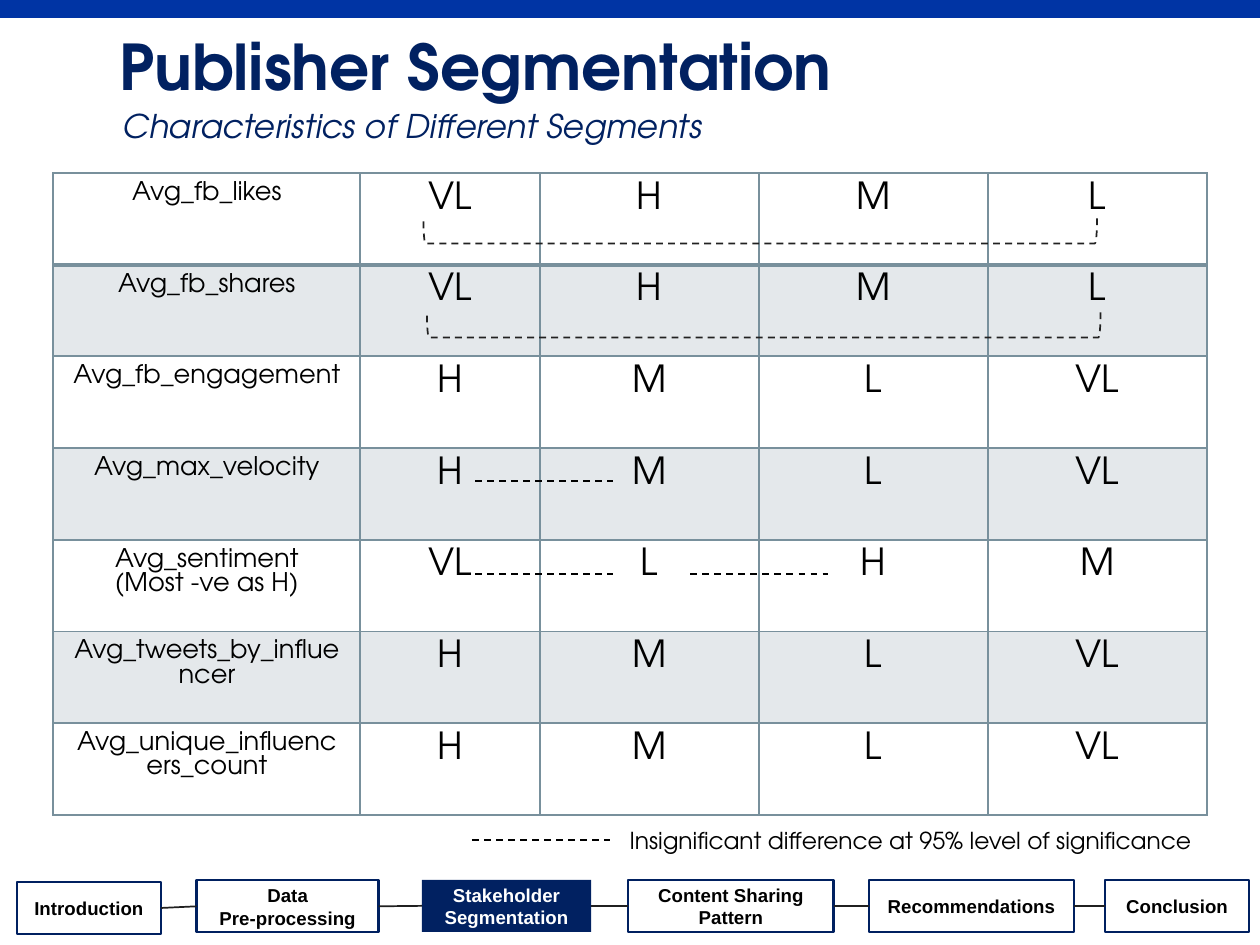
from typing import NamedTuple, Optional

from lxml.etree import SubElement
from pptx import Presentation
from pptx.dml.color import RGBColor
from pptx.enum.dml import MSO_LINE
from pptx.enum.shapes import MSO_CONNECTOR, MSO_SHAPE
from pptx.enum.text import MSO_ANCHOR, PP_ALIGN
from pptx.oxml.ns import qn
from pptx.util import Pt

COLORS = {
    "navy": "012161", "outline": "002060", "band": "0034A4", "grid": "78909C",
    "link": "202020", "bracket": "212121", "black": "000000", "white": "FFFFFF",
}
HEADING_FONT = "TeX Gyre Adventor"
STEP_FONT = "Arial"


class Box(NamedTuple):
    left: float
    top: float
    width: float
    height: float


class Style(NamedTuple):
    size: float
    color: str = "black"
    font: str = HEADING_FONT
    bold: bool = False
    italic: bool = False


class Step(NamedTuple):
    lines: tuple[str, ...]
    box: Box
    fill: Optional[str] = "white"
    outline: Optional[str] = "outline"
    ink: str = "black"


class Measure(NamedTuple):
    lines: tuple[str, ...]
    levels: str


class Dash(NamedTuple):
    left: float
    y: float


STEPS = [
    Step(("Introduction",), Box(7.2, 378, 61.9, 22.3), fill=None),
    Step(("Data", "Pre-processing"), Box(84.3, 377.3, 78, 22.3), fill=None),
    Step(("Stakeholder Segmentation",), Box(180.8, 377.1, 72.6, 22.3),
         fill="navy", outline=None, ink="white"),
    Step(("Content Sharing Pattern",), Box(269.3, 377.1, 88, 22.3)),
    Step(("Recommendations",), Box(372.4, 377.1, 88, 22.3)),
    Step(("Conclusion",), Box(473.6, 377.1, 61.7, 22.3)),
]
MEASURES = [
    Measure(("Avg_fb_likes",), "VL H M L"),
    Measure(("Avg_fb_shares",), "VL H M L"),
    Measure(("Avg_fb_engagement",), "H M L VL"),
    Measure(("Avg_max_velocity",), "H M L VL"),
    Measure(("Avg_sentiment", "(Most -ve as H)"), "VL L H M"),
    Measure(("Avg_tweets_by_influencer",), "H M L VL"),
    Measure(("Avg_unique_influencers_count",), "H M L VL"),
]
COLUMN_WIDTHS = [131.6, 77, 93.8, 98.1, 93.8]
ROW_HEIGHT = 39.3
BRACKETS = [Box(320.4, -45.4, 10.8, 288.7), Box(321.9, -5.1, 10.8, 288.7)]
DASHES = [Dash(203.6, 206.1), Dash(203.6, 246), Dash(295.8, 246), Dash(202.3, 360)]
DASH_LENGTH = 59.2


def rgb(name: str) -> RGBColor:
    return RGBColor.from_string(COLORS[name])


def emu(box: Box) -> list[Pt]:
    return [Pt(value) for value in box]


def write(frame, lines: tuple[str, ...], style: Style, align=PP_ALIGN.CENTER) -> None:
    for index, line in enumerate(lines):
        paragraph = frame.add_paragraph() if index else frame.paragraphs[0]
        paragraph.alignment = align
        run = paragraph.add_run()
        run.text = line
        run.font.name = style.font
        run.font.size = Pt(style.size)
        run.font.bold = style.bold
        run.font.italic = style.italic
        run.font.color.rgb = rgb(style.color)


def add_shape(slide, kind, box: Box, fill: Optional[str], outline: Optional[str], weight: float = 1):
    shape = slide.shapes.add_shape(kind, *emu(box))
    shape.shadow.inherit = False
    if fill:
        shape.fill.solid()
        shape.fill.fore_color.rgb = rgb(fill)
    else:
        shape.fill.background()
    if outline:
        shape.line.color.rgb = rgb(outline)
        shape.line.width = Pt(weight)
    else:
        shape.line.fill.background()
    return shape


def add_step(slide, step: Step):
    shape = add_shape(slide, MSO_SHAPE.RECTANGLE, step.box, step.fill, step.outline)
    shape.text_frame.word_wrap = True
    shape.text_frame.vertical_anchor = MSO_ANCHOR.MIDDLE
    write(shape.text_frame, step.lines, Style(8, step.ink, STEP_FONT, bold=True))
    return shape


def add_line(slide, left: float, right: float, y: float, color: str):
    line = slide.shapes.add_connector(MSO_CONNECTOR.STRAIGHT, Pt(left), Pt(y), Pt(right), Pt(y))
    line.line.color.rgb = rgb(color)
    line.line.width = Pt(0.75)
    SubElement(line._element.spPr, qn("a:effectLst"))
    return line


def add_text(slide, box: Box, text: str, style: Style):
    frame = slide.shapes.add_textbox(*emu(box)).text_frame
    frame.word_wrap = True
    write(frame, (text,), style, PP_ALIGN.LEFT)
    return frame


def style_cell(cell, row: int) -> None:
    properties = cell._tc.get_or_add_tcPr()
    heavy_side = {0: "lnB", 1: "lnT"}.get(row)
    for side in ("lnL", "lnR", "lnT", "lnB"):
        weight = Pt(2 if side == heavy_side else 1)
        border = SubElement(properties, qn(f"a:{side}"), w=str(weight))
        fill = SubElement(border, qn("a:solidFill"))
        SubElement(fill, qn("a:srgbClr"), val=COLORS["grid"])
    if row % 2:
        cell.fill.solid()
        cell.fill.fore_color.rgb = rgb("grid")
        tint = properties.find(qn("a:solidFill")).find(qn("a:srgbClr"))
        SubElement(tint, qn("a:alpha"), val="20000")
    else:
        cell.fill.background()


def add_measures(slide) -> None:
    box = Box(22.9, 74.2, sum(COLUMN_WIDTHS), ROW_HEIGHT * len(MEASURES))
    table = slide.shapes.add_table(len(MEASURES), len(COLUMN_WIDTHS), *emu(box)).table
    table.first_row = False
    table.horz_banding = False
    for column, width in zip(table.columns, COLUMN_WIDTHS):
        column.width = Pt(width)
    for row, measure in enumerate(MEASURES):
        table.rows[row].height = Pt(ROW_HEIGHT)
        entries = [measure.lines, *((level,) for level in measure.levels.split())]
        for column, lines in enumerate(entries):
            cell = table.cell(row, column)
            style_cell(cell, row)
            write(cell.text_frame, lines, Style(16 if column else 11))


def main() -> None:
    deck = Presentation()
    deck.slide_width, deck.slide_height = Pt(540), Pt(405)
    slide = deck.slides.add_slide(deck.slide_layouts[6])

    steps = [add_step(slide, step) for step in STEPS]
    for before, after in zip(steps, steps[1:]):
        link = add_line(slide, 0, 0, 0, "link")
        link.begin_connect(before, 3)
        link.end_connect(after, 1)
    add_shape(slide, MSO_SHAPE.RECTANGLE, Box(0, 0, 540, 7.7), "band", None)

    title = add_text(slide, Box(46.8, 11.5, 324, 36.7), "Publisher Segmentation",
                     Style(27, "navy", bold=True))
    title.vertical_anchor = MSO_ANCHOR.MIDDLE
    title.margin_left = title.margin_right = Pt(4.3)
    title.margin_top = title.margin_bottom = Pt(2.2)
    title.paragraphs[0].line_spacing = 0.9
    add_text(slide, Box(45.4, 41.8, 361.4, 24.5), "Characteristics of Different Segments",
             Style(14, "navy", italic=True))

    add_measures(slide)
    for box in BRACKETS:
        bracket = add_shape(slide, MSO_SHAPE.RIGHT_BRACKET, box, None, "bracket", 0.75)
        bracket.rotation = 90
        bracket.line.dash_style = MSO_LINE.DASH
    for dash in DASHES:
        line = add_line(slide, dash.left, dash.left + DASH_LENGTH, dash.y, "black")
        line.line.dash_style = MSO_LINE.DASH
    add_text(slide, Box(262.8, 350.6, 265, 19.4),
             "Insignificant difference at 95% level of significance", Style(10))
    deck.save("out.pptx")


if __name__ == "__main__":
    main()
